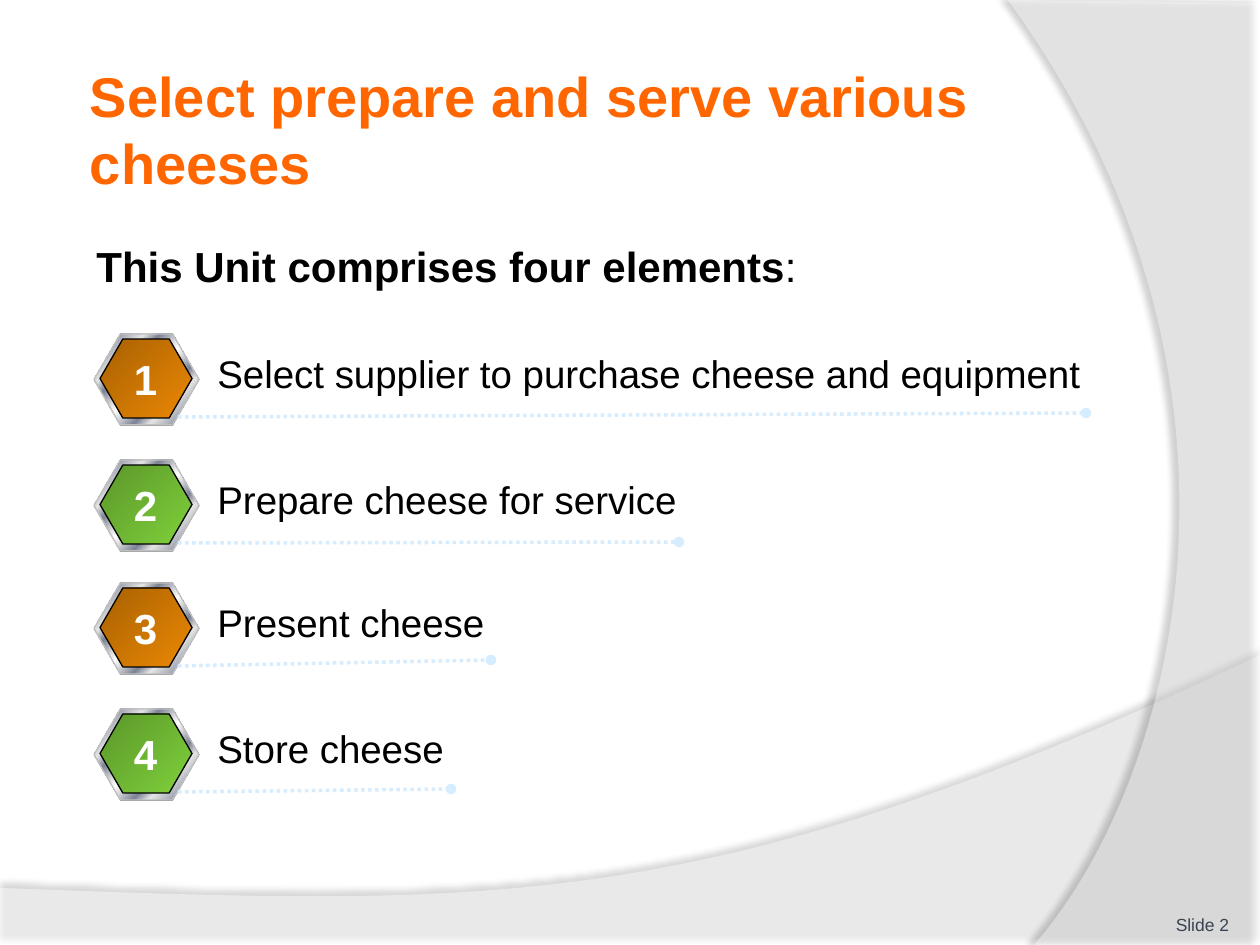
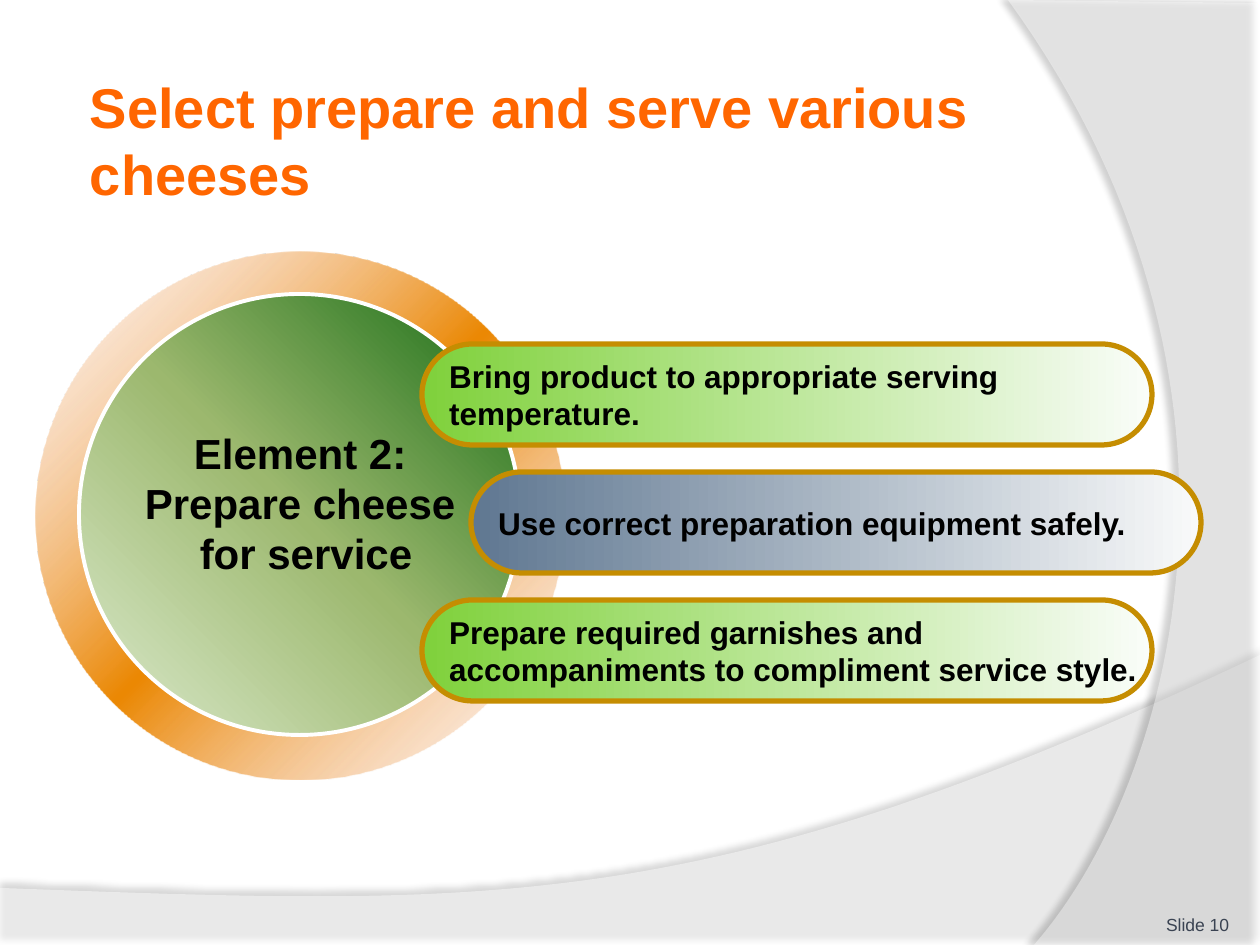
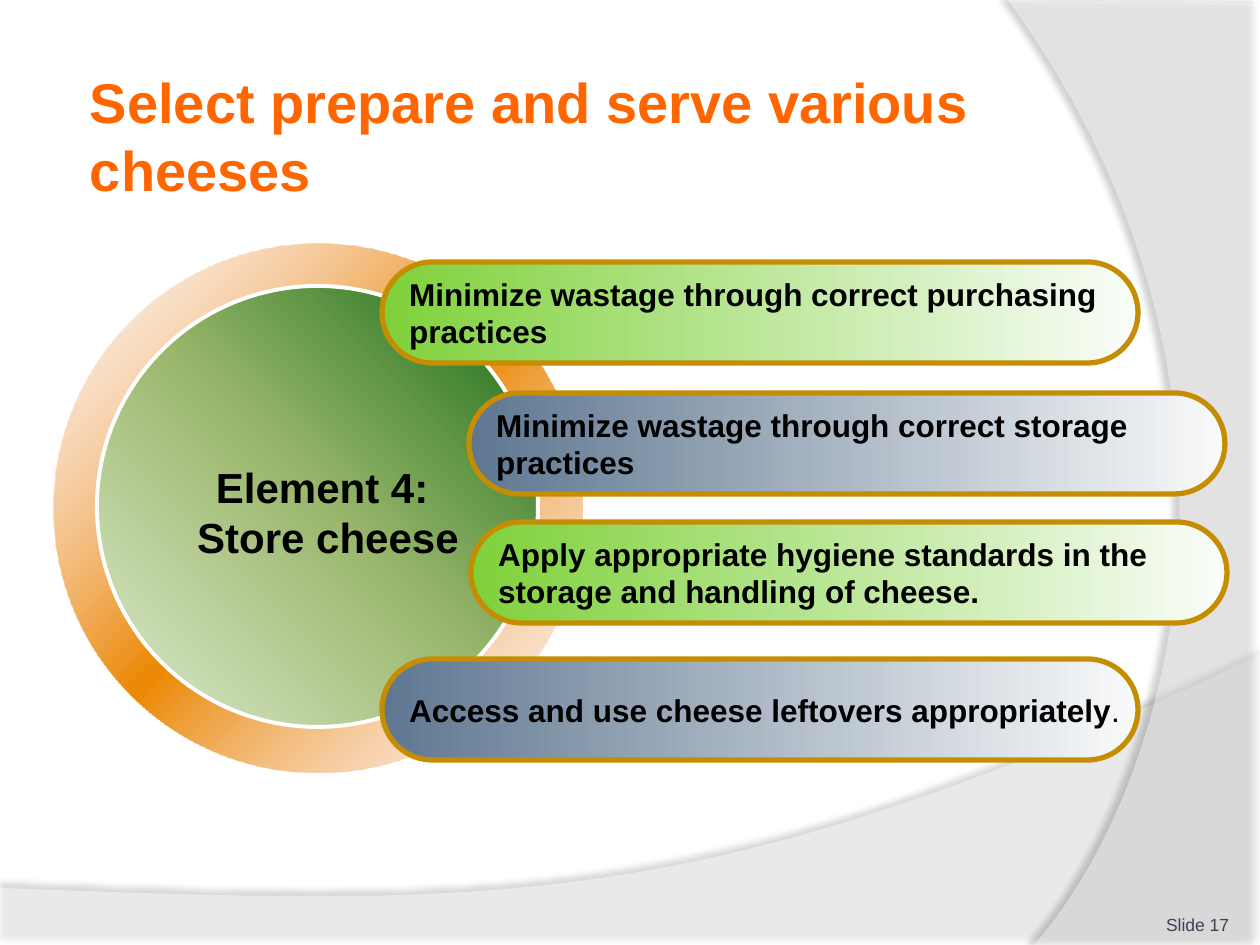
from lxml import etree
from pptx import Presentation, util as u
from pptx.dml.color import RGBColor
from pptx.enum import dml, shapes, text
from pptx.oxml.ns import qn

SCALE = 914400 / 126  # EMU in one px
TITLE = "Select prepare and serve various cheeses"

ORANGE, INK, WHITE, SLATE = "FF6600", "000000", "FFFFFF", "3A4352"
SILVER, GREY, GOLD, SKY = "C0C0C0", "808080", "C58D01", "D6ECFF"
BROWN_FADE = [(0, "A86102"), (100, "EB8803")]
LEAF_FADE = [(0, "5B962A"), (100, "7FD13B")]
GREEN_FADE = [(0, "7FD13B"), (100, "FAFDF9")]
BLUE_FADE = [(0, "5F7791"), (100, "F9FAFA")]
DISC_FADE = [(0, "DDEBCF"), (50, "9CB86E"), (100, "156B13")]
RING_FADE = [(0, "F3C2AA", 12), (50, "EB8803"), (100, "F3C2AA", 12)]
METAL_FADE = [(0, "E6E6E6"), (8, "7D8496"), (26, "E6E6E6"), (34, "7D8496"),
              (46, "E6E6E6"), (50, "FFFFFF"), (54, "E6E6E6"), (66, "7D8496"),
              (74, "E6E6E6"), (92, "7D8496"), (100, "E6E6E6")]

SHAPE = shapes.MSO_SHAPE
LEFT, CENTER, RIGHT = text.PP_ALIGN.LEFT, text.PP_ALIGN.CENTER, text.PP_ALIGN.RIGHT
TOP, MIDDLE, BOTTOM = (text.MSO_ANCHOR.TOP, text.MSO_ANCHOR.MIDDLE,
                       text.MSO_ANCHOR.BOTTOM)


def px(*lengths):
    return [round(n * SCALE) for n in lengths]


def rgb(color):
    return RGBColor.from_string(color)


def child(parent, tag, **attrs):
    return etree.SubElement(parent, qn(tag), {k: str(v) for k, v in attrs.items()})


def add_color(parent, color, alpha=100):
    """Append a colour element with its opacity in percent."""
    c = child(parent, "a:srgbClr", val=color)
    if alpha < 100:
        child(c, "a:alpha", val=alpha * 1000)


def bezier(p0, p1, p2, p3, steps=60):
    """Points along a cubic curve, without the first one."""
    for i in range(1, steps + 1):
        t = i / steps
        k = (1 - t) ** 3, 3 * t * (1 - t) ** 2, 3 * t * t * (1 - t), t ** 3
        yield tuple(sum(w * p[axis] for w, p in zip(k, (p0, p1, p2, p3)))
                    for axis in (0, 1))


def write(tf, words, size=18, color=INK, bold=True, tail="", align=LEFT,
          anchor=TOP, inset=None, wrap=True):
    """Fill a text frame; tail is a plain ending after bold words."""
    tf.word_wrap, tf.vertical_anchor = wrap, anchor
    if inset is not None:
        tf.margin_left = tf.margin_top = tf.margin_right = tf.margin_bottom = px(inset)[0]
    p = tf.paragraphs[0]
    p.alignment = align

    def run(part, weight):
        r = p.add_run()
        r.text = part
        r.font.name, r.font.size, r.font.bold = "Arial", u.Pt(size), weight
        r.font.color.rgb = rgb(color)

    for i, line in enumerate(words.split("\n")):
        if i:
            p.add_line_break()
        run(line, bold)
    if tail:
        run(tail, False)


class Deck:
    """Holds the presentation, its common look and the current slide."""

    def __init__(self):
        self.prs = Presentation()
        self.prs.slide_width, self.prs.slide_height = px(1260, 945)

    def slide(self, number, title_top, title_height):
        self.s = self.prs.slides.add_slide(self.prs.slide_layouts[6])
        self.wave([(0, 888), (0, 946), (1260, 946), (1260, 655)],
                  [(704, 919), (493, 906), (0, 888)], 45, 35, 3.5, 270)
        self.wave([(1260, 3), (1260, 945), (1034, 945)],
                  [(1178, 780), (1283, 378), (1008, 0)], 40, 45, 4, 180)
        self.text(TITLE, 84, title_top, 1029, title_height, size=32, color=ORANGE,
                  anchor=MIDDLE, inset=6)
        self.text(f"Slide {number}", 1124, 885, 105, 50, size=10, color=SLATE,
                  bold=False, align=RIGHT, anchor=BOTTOM, inset=0)

    def wave(self, corners, curve, alpha, shade, distance, direction):
        """Translucent white band with one curved edge and a soft shadow."""
        points = corners + list(bezier(corners[-1], *curve))
        fb = self.s.shapes.build_freeform(*px(*points[0]))
        fb.add_line_segments([px(*pt) for pt in points[1:]], close=True)
        sp = fb.convert_to_shape()
        self.paint(sp, WHITE)
        c = sp._element.spPr.find(f"{qn('a:solidFill')}/{qn('a:srgbClr')}")
        child(c, "a:alpha", val=alpha * 1000)
        effects = sp._element.spPr.find(qn("a:effectLst"))
        shadow = child(effects, "a:outerShdw", blurRad=u.Pt(4), dist=u.Pt(distance),
                       dir=direction * 60000, algn="ctr", rotWithShape=0)
        add_color(shadow, INK, shade)

    def paint(self, sp, fill, angle=0, line=None, width=0.75):
        """Fill with a colour or a list of gradient stops, then set the outline."""
        sp.shadow.inherit = False
        if isinstance(fill, str):
            sp.fill.solid()
            sp.fill.fore_color.rgb = rgb(fill)
        else:
            sp.fill.gradient()
            grad = sp._element.spPr.find(qn("a:gradFill"))
            stops = grad.find(qn("a:gsLst"))
            for old in list(stops):
                stops.remove(old)
            for place, *color in fill:
                add_color(child(stops, "a:gs", pos=place * 1000), *color)
            grad.find(qn("a:lin")).set("ang", str(angle * 60000))
        if line:
            sp.line.color.rgb = rgb(line)
            sp.line.width = u.Pt(width)
        else:
            sp.line.fill.background()

    def shape(self, kind, x, y, w, h, fill, adj=None, **look):
        sp = self.s.shapes.add_shape(kind, *px(x, y, w, h))
        if adj is not None:
            sp.adjustments[0] = adj
        self.paint(sp, fill, **look)
        return sp

    def text(self, words, x, y, w, h, **fmt):
        write(self.s.shapes.add_textbox(*px(x, y, w, h)).text_frame, words, **fmt)

    def dotted_line(self, x1, y1, x2, y2):
        c = self.s.shapes.add_connector(shapes.MSO_CONNECTOR.STRAIGHT,
                                        *px(x1, y1, x2, y2))
        c.line.color.rgb = rgb(SKY)
        c.line.width = u.Pt(2)
        c.line.dash_style = dml.MSO_LINE.ROUND_DOT
        child(c.line._get_or_add_ln(), "a:tailEnd", type="oval")
        child(c._element.spPr, "a:effectLst")

    def element_row(self, number, words, top, line_end, line_rise):
        """Numbered metal hexagon with its text and underline."""
        hexagon = SHAPE.HEXAGON
        self.shape(hexagon, 94, top + 1, 105, 91, GREY, 0.289)
        self.shape(hexagon, 94, top, 105, 91, METAL_FADE, 0.289, angle=45, line=SILVER)
        self.shape(hexagon, 100, top + 5, 92, 79, BROWN_FADE if number % 2 else LEAF_FADE,
                   0.289, angle=45, line=INK)
        self.dotted_line(178, top + 83, line_end, top + 83 - line_rise)
        self.text(words, 205, top + 10, 921, 59, size=22, bold=False)
        self.text(str(number), 121, top + 13, 49, 63, size=24, color=WHITE,
                  align=CENTER, wrap=False)

    def disc(self, x, y):
        """Green disc inside an orange ring."""
        self.shape(SHAPE.DONUT, x, y, 528, 528, RING_FADE, 0.09, angle=45)
        self.shape(SHAPE.OVAL, x + 43, y + 42, 441, 441, DISC_FADE, angle=315,
                   line=WHITE, width=2.25)

    def pills(self, width, rows):
        for i, (x, y, words, *tail) in enumerate(rows):
            sp = self.shape(SHAPE.ROUNDED_RECTANGLE, x, y, width, 101,
                            BLUE_FADE if i % 2 else GREEN_FADE, 0.5, line=GOLD, width=3)
            write(sp.text_frame, words, tail="".join(tail), anchor=MIDDLE, wrap=False)


def main():
    d = Deck()

    d.slide(2, 55, 147)
    d.text("This Unit comprises four elements", 84, 234, 1029, 624, size=24, tail=":")
    elements = [("Select supplier to purchase cheese and equipment", 334, 1086, 4),
                ("Prepare cheese for service", 460, 679, 1),
                ("Present cheese", 583, 491, 6),
                ("Store cheese", 709, 451, 3)]
    for number, element in enumerate(elements, 1):
        d.element_row(number, *element)

    d.slide(10, 76, 127)
    d.disc(36, 252)
    d.text("Element 2: \nPrepare cheese \nfor service", 130, 421, 352, 165, size=24,
           align=CENTER, wrap=False)
    d.pills(730, [
        (422, 344, "Bring product to appropriate serving \ntemperature."),
        (471, 472, "Use correct preparation equipment safely."),
        (422, 600, "Prepare required garnishes and \n"
                   "accompaniments to compliment service style.")])

    d.slide(17, 76, 118)
    d.disc(54, 244)
    d.text("Element 4: \nStore cheese", 183, 455, 290, 115, size=24, align=CENTER,
           wrap=False)
    d.pills(756, [
        (382, 262, "Minimize wastage through correct purchasing \npractices"),
        (469, 393, "Minimize wastage through correct storage \npractices"),
        (471, 522, "Apply appropriate hygiene standards in the \n"
                   "storage and handling of cheese."),
        (382, 659, "Access and use cheese leftovers appropriately", ".")])

    d.prs.save("out.pptx")


if __name__ == "__main__":
    main()
